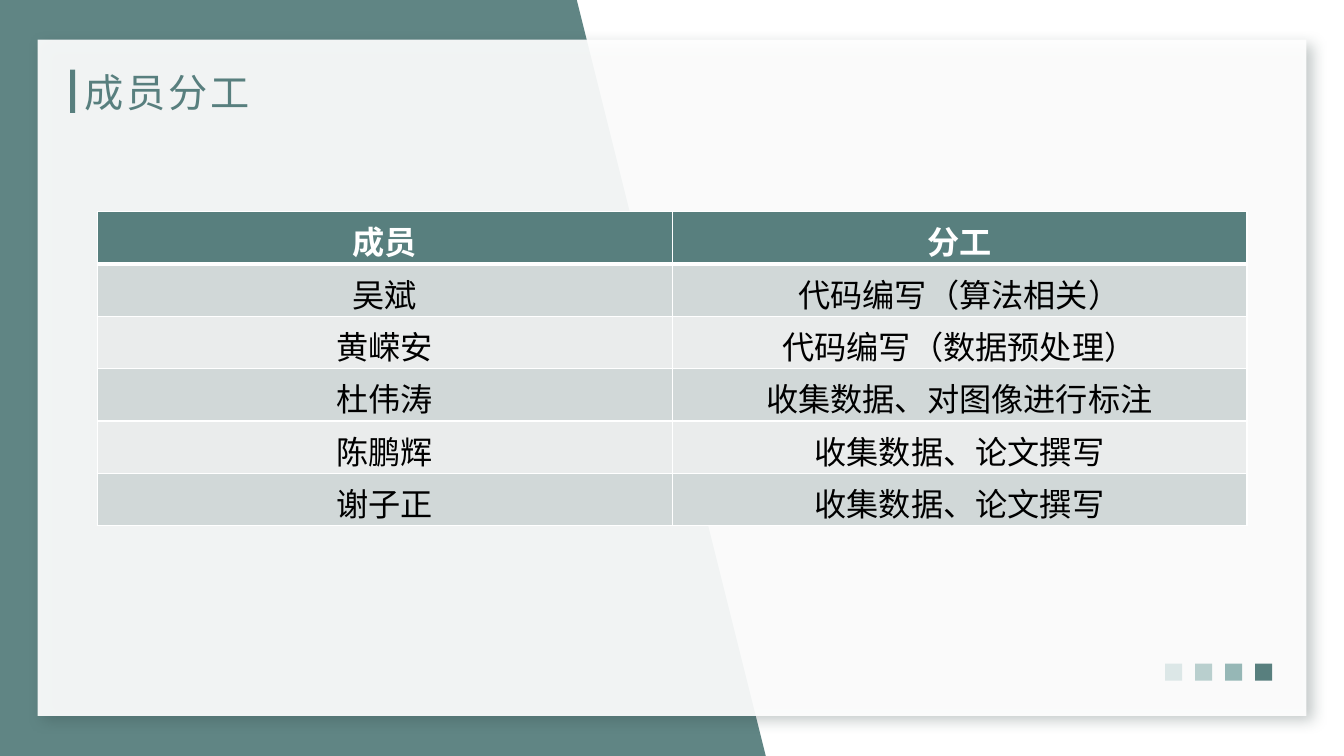
from lxml.etree import SubElement
from pptx import Presentation
from pptx.dml.color import RGBColor
from pptx.enum.shapes import MSO_SHAPE
from pptx.enum.text import MSO_ANCHOR, PP_ALIGN
from pptx.oxml.ns import qn
from pptx.util import Pt

FONT = "Noto Sans CJK SC"
WHITE = RGBColor(0xFF, 0xFF, 0xFF)
BLACK = RGBColor(0, 0, 0)
TEAL = RGBColor(0x58, 0x7F, 0x7E)
SHADOW = RGBColor(0x2C, 0x40, 0x3F)
BAND_DARK = RGBColor(0xD1, 0xD8, 0xD8)
BAND_LIGHT = RGBColor(0xEA, 0xEC, 0xEC)
SQUARES = [RGBColor(0xDC, 0xE7, 0xE7), RGBColor(0xB9, 0xCF, 0xCE),
           RGBColor(0x96, 0xB7, 0xB6), TEAL]

TITLE = "成员分工"
ROWS = [
    ("成员", "分工"),
    ("吴斌", "代码编写（算法相关）"),
    ("黄嵘安", "代码编写（数据预处理）"),
    ("杜伟涛", "收集数据、对图像进行标注"),
    ("陈鹏辉", "收集数据、论文撰写"),
    ("谢子正", "收集数据、论文撰写"),
]
PANELS = [
    ([(219, 0), (960, 0), (960, 540), (219, 540)], WHITE),
    ([(0, 0), (412, 0), (547, 540), (0, 540)], TEAL),
]

prs = Presentation()
prs.slide_width, prs.slide_height = Pt(960), Pt(540)
s = prs.slides.add_slide(prs.slide_layouts[6])


def paint(sp, color, opacity=100):
    sp.shadow.inherit = False
    sp.line.fill.background()
    sp.fill.solid()
    sp.fill.fore_color.rgb = color
    if opacity < 100:
        clr = sp._element.spPr.find(qn("a:solidFill"))[0]
        SubElement(clr, qn("a:alpha"), val=str(opacity * 1000))


def add_rect(x, y, w, h, color, opacity=100):
    sp = s.shapes.add_shape(MSO_SHAPE.RECTANGLE, Pt(x), Pt(y), Pt(w), Pt(h))
    paint(sp, color, opacity)
    return sp


def add_text(p, text, size, color, bold=False):
    r = p.add_run()
    r.text = text
    r.font.name, r.font.size, r.font.bold = FONT, Pt(size), bold
    r.font.color.rgb = color
    rPr = r._r.get_or_add_rPr()
    SubElement(rPr, qn("a:ea"), typeface=FONT)
    return rPr


def add_border(tcPr, side, width):
    ln = SubElement(tcPr, qn("a:" + side), w=str(Pt(width)))
    fill = SubElement(ln, qn("a:solidFill"))
    SubElement(fill, qn("a:srgbClr"), val=str(WHITE))


for points, color in PANELS:
    builder = s.shapes.build_freeform(Pt(points[0][0]), Pt(points[0][1]))
    builder.add_line_segments([(Pt(x), Pt(y)) for x, y in points[1:]], close=True)
    paint(builder.convert_to_shape(), color, 95)

card = add_rect(26.9, 28.3, 906.2, 483.2, WHITE, 92)
effects = card._element.spPr.find(qn("a:effectLst"))
shadow = SubElement(effects, qn("a:outerShdw"), blurRad=str(Pt(10)),
                    dist=str(Pt(6)), dir="2700000", algn="tl", rotWithShape="0")
shadow_color = SubElement(shadow, qn("a:srgbClr"), val=str(SHADOW))
SubElement(shadow_color, qn("a:alpha"), val="30000")

for i, color in enumerate(SQUARES):
    add_rect(832.3 + i * 21.4, 474, 12.2, 12.2, color)

add_rect(50, 49.7, 3.6, 31, TEAL)
title = s.shapes.add_textbox(Pt(53.3), Pt(44.6), Pt(390), Pt(42.5))
tf = title.text_frame
tf.word_wrap = True
tf.vertical_anchor = MSO_ANCHOR.MIDDLE
add_text(tf.paragraphs[0], TITLE, 28, TEAL).set("spc", "200")

ROW_H = 37.4
frame = s.shapes.add_table(len(ROWS), 2, Pt(69.4), Pt(151.2),
                           Pt(821.4), Pt(ROW_H * len(ROWS)))
table = frame.table
for i, row in enumerate(ROWS):
    table.rows[i].height = Pt(ROW_H)
    header = i == 0
    for j, text in enumerate(row):
        cell = table.cell(i, j)
        cell.margin_left = cell.margin_right = Pt(9.4)
        cell.margin_top, cell.margin_bottom = Pt(4.1), Pt(0)
        tcPr = cell._tc.get_or_add_tcPr()
        for side in ("lnL", "lnR", "lnT", "lnB"):
            thick = (header and side == "lnB") or (i == 1 and side == "lnT")
            add_border(tcPr, side, 3 if thick else 1)
        cell.fill.solid()
        cell.fill.fore_color.rgb = TEAL if header else BAND_DARK if i % 2 else BAND_LIGHT
        p = cell.text_frame.paragraphs[0]
        p.alignment = PP_ALIGN.CENTER
        add_text(p, text, 23, WHITE if header else BLACK, header)

prs.save("out.pptx")
